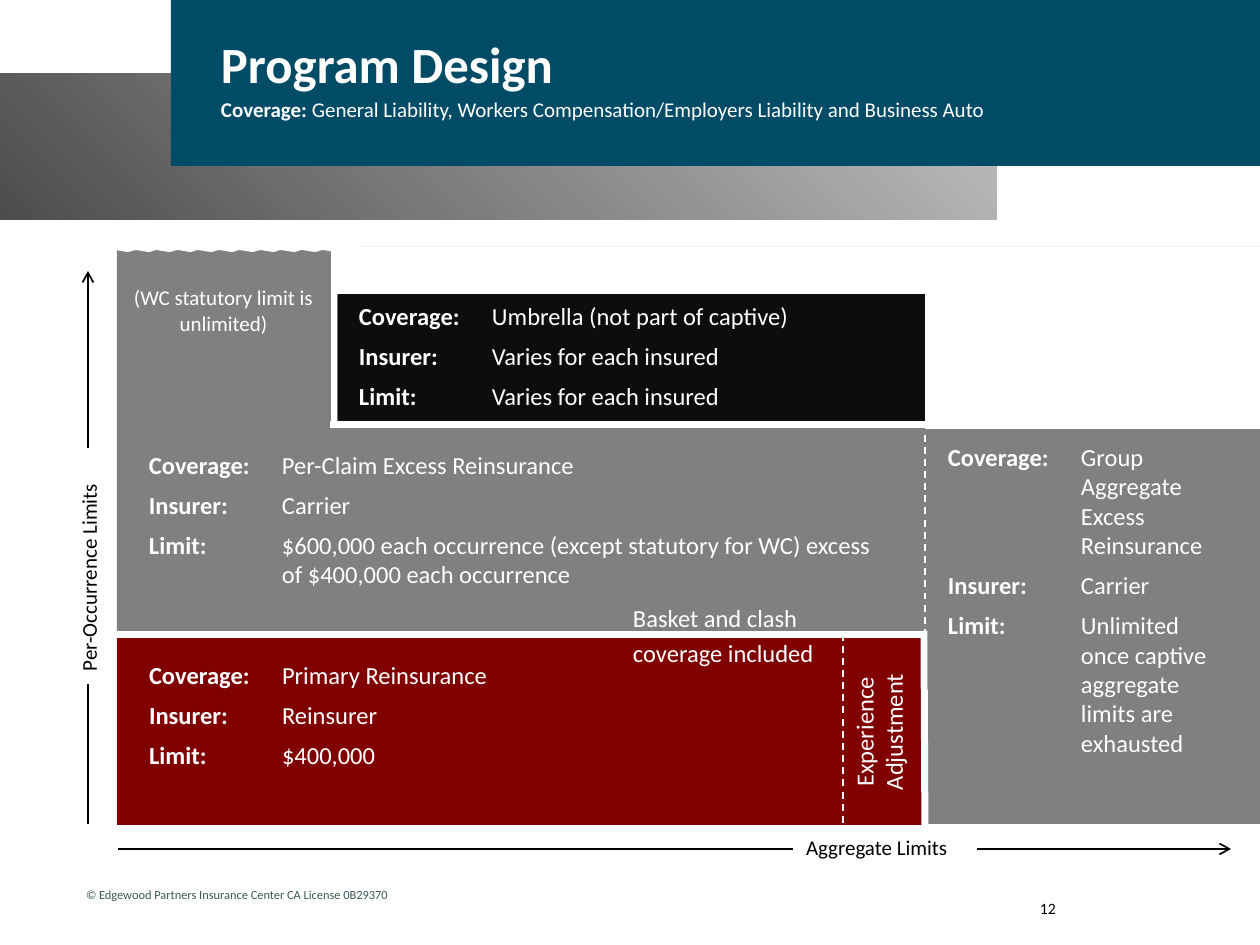
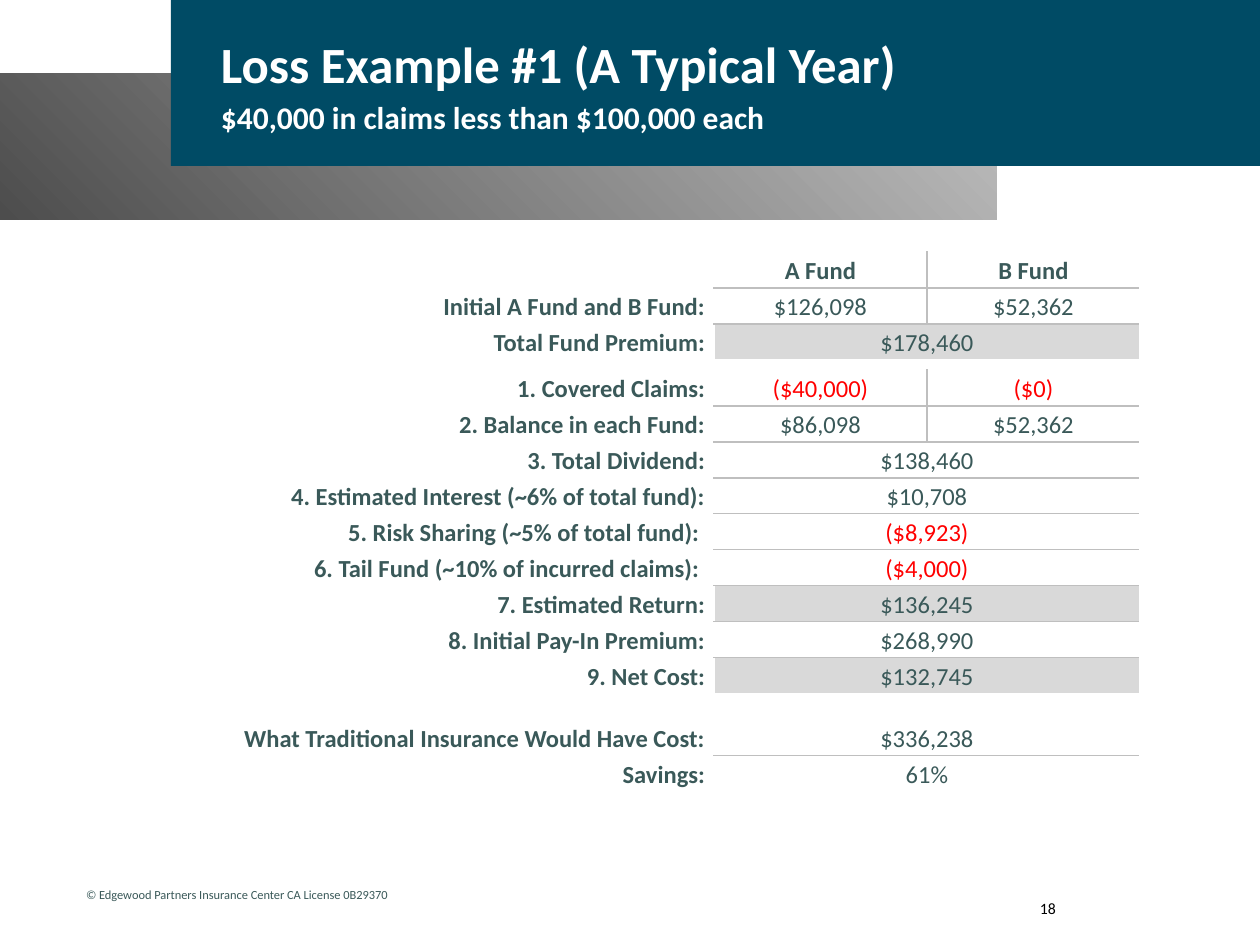
from functools import partial

from lxml.etree import SubElement
from pptx import Presentation
from pptx.dml.color import RGBColor
from pptx.enum.dml import MSO_LINE
from pptx.enum.shapes import MSO_CONNECTOR, MSO_SHAPE
from pptx.enum.text import MSO_ANCHOR, PP_ALIGN
from pptx.oxml.ns import qn
from pptx.util import Pt

PX = 914400 / 126
FONT = "Calibri"
WHITE, BLACK, INK = "FFFFFF", "000000", "3A5959"
BLUE, GREY, MAROON, UMBRELLA = "004B65", "808080", "800000", "0D0D0D"
GRADIENT = ("4D4D4D", "BFBFBF")
RULE, SHADE, RED = "BFBFBF", "D9D9D9", "FF0000"
INSETS = (13, 6, 13, 6)


def px(length):
    return round(length * PX)


def rgb(color):
    return RGBColor.from_string(color)


def within(box, x, y, width, height):
    """Shift a place given relative to a box onto the page."""
    return box[0] + x, box[1] + y, width, height


def set_font(font, size=None, color=None, bold=None):
    font.name = FONT
    if size:
        font.size = Pt(size)
    if color:
        font.color.rgb = rgb(color)
    if bold is not None:
        font.bold = bold


def add_block(page, place, color=None, kind=MSO_SHAPE.RECTANGLE):
    shape = page.shapes.add_shape(kind, *map(px, place))
    shape.shadow.inherit = False
    shape.line.fill.background()
    if color:
        shape.fill.solid()
        shape.fill.fore_color.rgb = rgb(color)
    return shape


def set_margins(target, margins):
    (target.margin_left, target.margin_top,
     target.margin_right, target.margin_bottom) = map(px, margins)


def write(shape, text, size, color, align=PP_ALIGN.LEFT, insets=INSETS,
          anchor=MSO_ANCHOR.TOP, spacing=None, wrap=True):
    frame = shape.text_frame
    frame.word_wrap = wrap
    frame.vertical_anchor = anchor
    set_margins(frame, insets)
    para = frame.paragraphs[0]
    para.alignment = align
    if spacing:
        para.line_spacing = spacing
    set_font(para.font, size, color)
    if text:
        para.add_run().text = text
    return para


def add_label(page, place, text, size, color, turn=0, **style):
    box = page.shapes.add_textbox(*map(px, place))
    box.rotation = turn
    return write(box, text, size, color, **style)


def add_line(page, place, color, width, dashed=False, arrow=False):
    """Draw a line from a start point by a horizontal and a vertical run."""
    x, y, run_x, run_y = place
    line = page.shapes.add_connector(
        MSO_CONNECTOR.STRAIGHT, px(x), px(y), px(x + run_x), px(y + run_y))
    line.line.color.rgb = rgb(color)
    line.line.width = Pt(width)
    if dashed:
        line.line.dash_style = MSO_LINE.DASH
    properties = line.element.spPr
    if arrow:
        SubElement(properties.find(qn("a:ln")), qn("a:tailEnd"), type="arrow")
    SubElement(properties, qn("a:effectLst"))


def add_terms(page, place, coverage, insurer, limit):
    """List coverage, insurer and limit with a hanging indent."""
    box = page.shapes.add_textbox(*map(px, place))
    frame = box.text_frame
    frame.word_wrap = True
    set_margins(frame, INSETS)
    terms = {"Coverage:": coverage, "Insurer:": insurer, "Limit:": limit}
    for index, (term, value) in enumerate(terms.items()):
        para = frame.add_paragraph() if index else frame.paragraphs[0]
        properties = para._p.get_or_add_pPr()
        properties.set("marL", str(px(133)))
        properties.set("indent", str(-px(133)))
        if index:
            para.space_before = Pt(6)
        set_font(para.font, 14, WHITE)
        for text, bold in ((term + "\t", True), (value, False)):
            span = para.add_run()
            span.text = text
            span.font.bold = bold


def add_frame(deck, title, subtitle, subtitle_size, number):
    """Start a page with its bands, heading and footer."""
    page = deck.slides.add_slide(deck.slide_layouts[6])

    # Bands
    band = add_block(page, (-1, 73, 998, 147))
    band.fill.gradient()
    band.fill.gradient_angle = 45
    for stop, color in zip(band.fill.gradient_stops, GRADIENT):
        stop.color.rgb = rgb(color)
    add_block(page, (171, -1, 1090, 167), BLUE)

    # Heading
    para = add_label(page, (221, 27, 987, 59), title, 29, WHITE,
                     insets=(0, 0, 0, 0), spacing=1.1)
    para.runs[0].font.bold = True
    para.add_line_break()
    for text, bold in subtitle:
        span = para.add_run()
        span.text = text
        set_font(span.font, subtitle_size, bold=bold)

    # Footer
    add_label(page, (73, 881, 372, 28),
              "© Edgewood Partners Insurance Center CA License 0B29370",
              7.1, INK, wrap=False)
    add_label(page, (1040, 892, 168, 32), str(number), 9, BLACK,
              insets=(0, 0, 0, 0), anchor=MSO_ANCHOR.MIDDLE)
    return page


def add_layers(page, box):
    """Draw the layers of cover in the box."""
    at = partial(within, box)
    width, height = box[2:]
    column = 808  # left edge of the group aggregate layer
    floor = 388  # line between the excess and primary layers

    # Excess, umbrella and primary layers
    add_block(page, box, GREY)
    add_block(page, at(221, 47, 658, 132), UMBRELLA)
    add_line(page, at(213, 178, 678, 0), WHITE, 4)
    add_line(page, at(217, 181, 0, -191), WHITE, 4)
    add_block(page, at(0, 391, 811, height - 390), MAROON)
    add_terms(page, at(19, 407, 575, 123),
              "Primary Reinsurance", "Reinsurer", "$400,000")

    # Experience adjustment
    add_line(page, at(726, height + 11, 0, -204), WHITE, 1, dashed=True)
    add_line(page, at(column, height + 11, -1, -204), WHITE, 4)
    add_label(page, at(669, 449, 186, 72), "Experience Adjustment", 14, WHITE,
              turn=270, align=PP_ALIGN.CENTER)
    add_line(page, at(-6, floor, 816, 0), WHITE, 4)

    # Per-claim excess layer
    add_block(page, at(column, 37, width - column, 145), WHITE)
    add_terms(page, at(19, 197, 756, 152), "Per-Claim Excess Reinsurance", "Carrier",
              "$600,000 each occurrence (except statutory for WC) "
              "excess of $400,000 each occurrence")
    add_line(page, at(column, floor + 1, 0, -204), WHITE, 1, dashed=True)
    add_label(page, at(0, 32, 213, 63), "(WC statutory limit is unlimited)",
              12, WHITE, align=PP_ALIGN.CENTER)

    # Group aggregate and umbrella terms
    add_block(page, at(217, 0, width - 217, 47), WHITE)
    add_terms(page, at(818, 189, 306, 331), "Group Aggregate Excess Reinsurance",
              "Carrier", "Unlimited once captive aggregate limits are exhausted")
    add_terms(page, at(229, 48, 577, 123), "Umbrella (not part of captive)",
              "Varies for each insured", "Varies for each insured")

    # Axes
    add_line(page, at(-29, height, 0, -553), BLACK, 1, arrow=True)
    add_line(page, at(1, height + 25, 1113, 0), BLACK, 1, arrow=True)
    occurrence = add_block(page, at(-146, 300, 236, 38), WHITE)
    occurrence.rotation = 270
    write(occurrence, "Per-Occurrence Limits", 12, BLACK)
    aggregate = add_block(page, at(676, height + 5, 184, 38), WHITE)
    write(aggregate, "Aggregate Limits", 12, BLACK)

    # Torn top edge
    for index in range(6):
        add_block(page, at(-6 + 41.5 * index, -10, 42, 15), WHITE,
                  MSO_SHAPE.DOUBLE_WAVE)

    add_label(page, at(503, 344, 234, 81), "Basket and clash coverage included",
              14, WHITE, spacing=1.2)


def add_border(cell, side):
    properties = cell._tc.get_or_add_tcPr()
    border = SubElement(properties, qn("a:ln" + side), w=str(Pt(1)))
    SubElement(SubElement(border, qn("a:solidFill")), qn("a:srgbClr"), val=RULE)


def fill_cell(cell, text, bold, align):
    set_margins(cell, (9, 0, 9, 0))
    para = cell.text_frame.paragraphs[0]
    if not text:
        SubElement(para._p, qn("a:endParaRPr"), sz="100")
        return
    para.alignment = align
    para.line_spacing = 1.15
    para.space_after = Pt(1)
    set_font(para.font, 14, RED if text.startswith("(") else INK, bold)
    para.add_run().text = text


def add_funds(page, box, rows):
    """Fill the box with the fund table; a number among the rows is a gap."""
    columns = (595, 213, 213, 20)
    table = page.shapes.add_table(len(rows), len(columns), *map(px, box)).table
    table.first_row = table.horz_banding = False
    for column, width in zip(table.columns, columns):
        column.width = px(width)

    for index, row in enumerate(rows):
        gap = isinstance(row, int)
        table.rows[index].height = px(row if gap else 36)
        label, *values = ("",) if gap else row
        shaded = label in SHADED
        split = len(values) == 2
        above = index > 0 and not isinstance(rows[index - 1], int)
        below = index + 1 < len(rows) and not isinstance(rows[index + 1], int)
        texts = (label, *values, "", "", "")[:4]
        for place, text in enumerate(texts):
            cell = table.cell(index, place)
            fill_cell(cell, text, place == 0 or index == 0,
                      PP_ALIGN.CENTER if place else PP_ALIGN.RIGHT)
            if place in (1, 2) and not gap:
                sides = {"L": split and place == 2, "R": split and place == 1,
                         "T": above, "B": below}
                for side, drawn in sides.items():
                    if drawn:
                        add_border(cell, side)
            if shaded and place in (1, 2):
                cell.fill.solid()
                cell.fill.fore_color.rgb = rgb(SHADE)
            else:
                cell.fill.background()
        if gap:
            table.cell(index, 0).merge(table.cell(index, 3))
        elif not split:
            table.cell(index, 1).merge(table.cell(index, 2))


SHADED = {"Total Fund Premium:", "7. Estimated Return:", "9. Net Cost:"}
FUND_ROWS = [
    ("", "A Fund", "B Fund"),
    ("Initial A Fund and B Fund:", "$126,098", "$52,362"),
    ("Total Fund Premium:", "$178,460"),
    10,
    ("1. Covered Claims:", "($40,000)", "($0)"),
    ("2. Balance in each Fund:", "$86,098", "$52,362"),
    ("3. Total Dividend:", "$138,460"),
    ("4. Estimated Interest (~6% of total fund):", "$10,708"),
    ("5. Risk Sharing (~5% of total fund): ", "($8,923)"),
    ("6. Tail Fund (~10% of incurred claims): ", "($4,000)"),
    ("7. Estimated Return:", "$136,245"),
    ("8. Initial Pay-In Premium:", "$268,990"),
    ("9. Net Cost:", "$132,745"),
    26,
    ("What Traditional Insurance Would Have Cost:", "$336,238"),
    ("Savings:", "61%"),
]


def main():
    deck = Presentation()
    deck.slide_width, deck.slide_height = px(1260), px(945)

    design = add_frame(deck, "Program Design", [
        ("Coverage: ", True),
        ("General Liability, Workers Compensation/Employers Liability "
         "and Business Auto", False)], 12, 12)
    add_layers(design, (117, 247, 1144, 577))

    example = add_frame(deck, "Loss Example #1 (A Typical Year)", [
        ("$40,000 in claims less than $100,000 each", True)], 18, 18)
    add_funds(example, (119, 252, 1041, 540), FUND_ROWS)

    deck.save("out.pptx")


if __name__ == "__main__":
    main()
